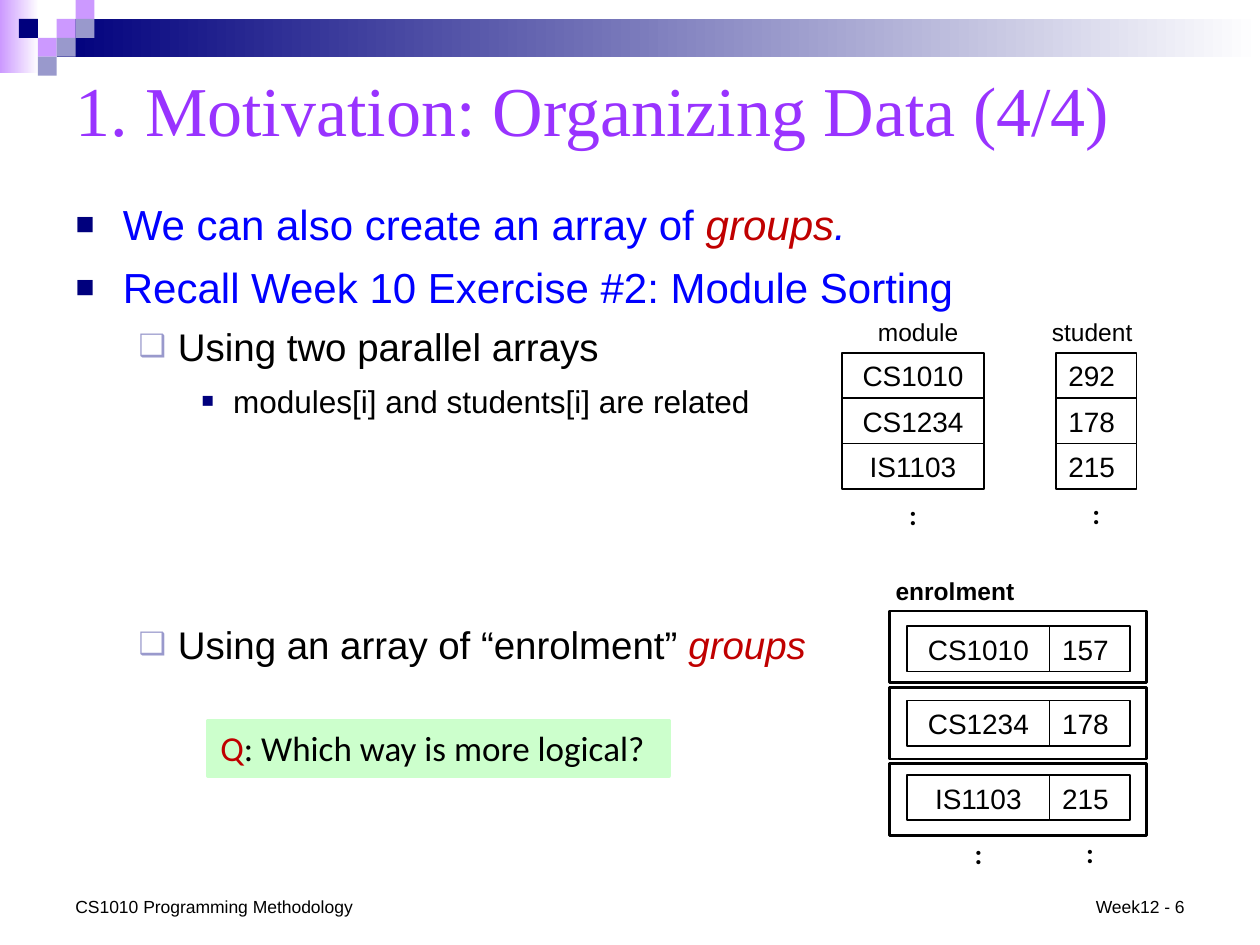
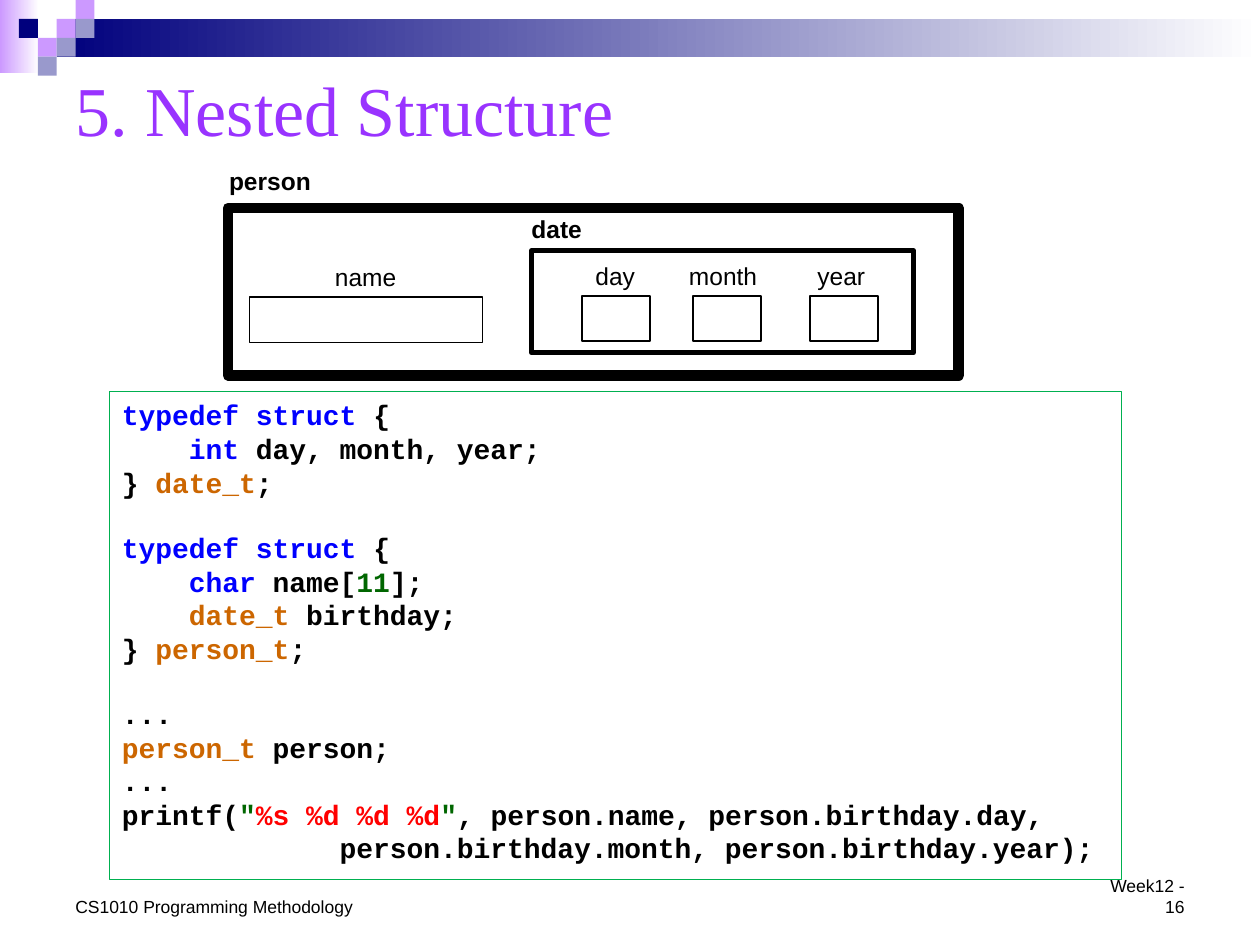
from dataclasses import dataclass
from lxml.etree import SubElement
from pptx import Presentation
from pptx.dml.color import RGBColor as RGB
from pptx.enum.shapes import MSO_SHAPE as SHAPE
from pptx.enum.text import MSO_ANCHOR as ANCHOR, MSO_AUTO_SIZE as FIT, PP_ALIGN as ALIGN
from pptx.oxml.ns import qn
from pptx.util import Pt

BLACK = RGB(0x00, 0x00, 0x00)
WHITE = RGB(0xFF, 0xFF, 0xFF)
NAVY = RGB(0x00, 0x00, 0x7D)
LILAC = RGB(0xCC, 0x99, 0xFF)
SLATE = RGB(0x99, 0x99, 0xCC)
PURPLE = RGB(0x99, 0x33, 0xFF)
BLUE = RGB(0x00, 0x00, 0xFF)
CRIMSON = RGB(0xC0, 0x00, 0x00)
MINT = RGB(0xCC, 0xFF, 0xCC)
GREEN = RGB(0x00, 0xB0, 0x50)
FOREST = RGB(0x00, 0x66, 0x00)
ORANGE = RGB(0xCC, 0x66, 0x00)
RED = RGB(0xFF, 0x00, 0x00)


@dataclass
class Box:
    x: float
    y: float
    w: float
    h: float

    def spread(self) -> tuple:
        return Pt(self.x), Pt(self.y), Pt(self.w), Pt(self.h)


@dataclass
class Seg:
    text: str
    ink: RGB = BLACK
    tilt: bool = False


@dataclass
class Mark:
    sign: str
    ink: RGB
    scale: int
    left: float
    hang: float


@dataclass
class Para:
    segs: list
    gap: float = 0
    size: float = 0
    mark: Mark | None = None
    level: int = 0


@dataclass
class Label:
    text: str
    box: Box
    bold: bool = False


MARKS = [Mark("■", NAVY, 75, 27, 27), Mark("❑", SLATE, 80, 58.5, 22.5),
         Mark("■", NAVY, 65, 90, 18)]
TILE = 10.8
TILES = [(3, 1, LILAC), (4, 0, LILAC), (4, 1, SLATE), (2, 2, LILAC),
         (1, 1, NAVY), (3, 2, SLATE), (2, 3, SLATE)]
CELL_H = 25.9
CODE_W = 81.4
COUNT_W = 46.1
CODES = ["CS1010", "CS1234", "IS1103"]

TOPICS = [
    Para([Seg("We can also create an array of ", BLUE), Seg("groups", CRIMSON, True),
          Seg(".", BLUE, True)], 0, 24, MARKS[0], 0),
    Para([Seg("Recall Week 10 Exercise #2: Module Sorting", BLUE)], 7.2, 24, MARKS[0], 0),
    Para([Seg("Using two parallel arrays")], 6, 22, MARKS[1], 1),
    Para([Seg("modules[i] and students[i] are related")], 7.2, 18, MARKS[2], 2),
    Para([Seg("Using an array of “enrolment” "), Seg("groups", CRIMSON, True)],
         115, 22, MARKS[1], 1),
]
BLANK = 18.1
CODE = [
    Para([Seg("typedef struct ", BLUE), Seg("{")]),
    Para([Seg("    "), Seg("int", BLUE), Seg(" day, month, year;")]),
    Para([Seg("} "), Seg("date_t", ORANGE), Seg(";")]),
    Para([Seg("typedef struct ", BLUE), Seg("{")], BLANK),
    Para([Seg("    "), Seg("char ", BLUE), Seg("name["), Seg("11", FOREST), Seg("];")]),
    Para([Seg("    "), Seg("date_t", ORANGE), Seg(" birthday;")]),
    Para([Seg("} "), Seg("person_t", ORANGE), Seg(";")]),
    Para([Seg("...")], BLANK),
    Para([Seg("person_t", ORANGE), Seg(" person;")]),
    Para([Seg("...")]),
    Para([Seg("printf("), Seg('"', FOREST), Seg("%s %d %d %d", RED), Seg('"', FOREST),
          Seg(", person.name, person.birthday.day,")]),
    Para([Seg("             person.birthday.month, person.birthday.year);")]),
]
PARTS = [
    Label("day", Box(333.2, 145.4, 38.2, 24.5)),
    Label("month", Box(386.6, 145.4, 55.6, 24.5)),
    Label("year", Box(460, 145.4, 43, 24.5)),
    Label("date", Box(296.6, 118.8, 54, 24.5), True),
    Label("name", Box(184.3, 146.2, 50, 24.5)),
    Label("person", Box(123.8, 91.4, 61.2, 24.5), True),
]


def add_mark(para, mark: Mark) -> None:
    props = para._p.get_or_add_pPr()
    props.set("marL", str(Pt(mark.left)))
    props.set("indent", str(-Pt(mark.hang)))
    tint = SubElement(props, qn("a:buClr"))
    SubElement(tint, qn("a:srgbClr"), val=str(mark.ink))
    SubElement(props, qn("a:buSzPct"), val=str(mark.scale * 1000))
    SubElement(props, qn("a:buFont"), typeface="Arial")
    SubElement(props, qn("a:buChar"), char=mark.sign)


def write(shape, text: str | list, *, face: str = "Arial", size: float = 16,
          ink: RGB = BLACK, bold: bool = False, align=ALIGN.LEFT,
          anchor=ANCHOR.TOP) -> None:
    frame = shape.text_frame
    frame.word_wrap = True
    frame.auto_size = FIT.NONE
    frame.vertical_anchor = anchor
    paras = [Para([Seg(text, ink)])] if isinstance(text, str) else text
    for at, item in enumerate(paras):
        para = frame.add_paragraph() if at else frame.paragraphs[0]
        if item.mark:
            add_mark(para, item.mark)
        para.level = item.level
        para.alignment = align
        para.space_before = Pt(item.gap)
        for seg in item.segs:
            run = para.add_run()
            run.text = seg.text
            font = run.font
            font.name, font.size = face, Pt(item.size or size)
            font.bold, font.italic = bold, seg.tilt
            font.color.rgb = seg.ink


def add_rect(slide, box: Box, fill: RGB | None = WHITE, line: RGB | None = BLACK,
             width: float = 1):
    rect = slide.shapes.add_shape(SHAPE.RECTANGLE, *box.spread())
    rect.shadow.inherit = False
    if fill is None:
        rect.fill.background()
    else:
        rect.fill.solid()
        rect.fill.fore_color.rgb = fill
    if line is None:
        rect.line.fill.background()
    else:
        rect.line.color.rgb = line
        rect.line.width = Pt(width)
    return rect


def add_text(slide, box: Box, text: str, **style) -> None:
    write(slide.shapes.add_textbox(*box.spread()), text, **style)


def add_label(slide, label: Label) -> None:
    add_text(slide, label.box, label.text, size=14, bold=label.bold)


def add_fade(slide, box: Box, ink: RGB) -> None:
    fill = add_rect(slide, box, line=None).fill
    fill.gradient()
    fill.gradient_angle = 0
    for stop, tint in zip(fill.gradient_stops, (ink, WHITE)):
        stop.color.rgb = tint


def place(holder, box: Box) -> None:
    holder.left, holder.top, holder.width, holder.height = box.spread()


def start(deck, layout: int, title: str, page: int):
    slide = deck.slides.add_slide(deck.slide_layouts[layout])
    add_fade(slide, Box(0, 0, 22.3, 41.8), LILAC)
    add_fade(slide, Box(32.4, 10.8, 687.6, 21.6), NAVY)
    for col, row, ink in TILES:
        add_rect(slide, Box(col * TILE, row * TILE, TILE, TILE), ink, None)
    head = slide.shapes.title
    place(head, Box(36, 30.2, 648, 63.4))
    write(head, title, face="Times New Roman", size=40, ink=PURPLE, anchor=ANCHOR.MIDDLE)
    add_text(slide, Box(36, 508.3, 174.2, 19.4), "CS1010 Programming Methodology",
             size=10, anchor=ANCHOR.BOTTOM)
    add_text(slide, Box(617.8, 508.3, 66.2, 19.4), f"Week12 - {page}",
             size=10, align=ALIGN.RIGHT, anchor=ANCHOR.BOTTOM)
    return slide


def add_pair(slide, left: float, right: float, top: float, code: str, count: str) -> None:
    write(add_rect(slide, Box(left, top, CODE_W, CELL_H)), code, align=ALIGN.CENTER)
    write(add_rect(slide, Box(right, top, COUNT_W, CELL_H)), count)


def add_dots(slide, left: float, right: float, top: float) -> None:
    for x, y, w in ((left, top, CODE_W), (right, top - 0.7, COUNT_W)):
        add_text(slide, Box(x, y, w, 26.6), ":", face="Calibri", bold=True,
                 align=ALIGN.CENTER)


def draw_data(deck) -> None:
    slide = start(deck, 1, "1. Motivation: Organizing Data (4/4)", 6)
    body = slide.placeholders[1]
    place(body, Box(36, 110, 648, 276.5))
    write(body, TOPICS)
    quiz = add_rect(slide, Box(118.8, 411.8, 263.5, 31.7), MINT, MINT, 2)
    write(quiz, [Para([Seg("Q", CRIMSON), Seg(": Which way is more logical?")])],
          face="Calibri", size=20)

    add_label(slide, Label("module", Box(494.6, 177.8, 60.5, 24.5)))
    add_label(slide, Label("student", Box(594, 177.8, 67.7, 24.5)))
    for row, (code, count) in enumerate(zip(CODES, ["292", "178", "215"])):
        add_pair(slide, 481, 603.4, 201.6 + row * CELL_H, code, count)
    add_dots(slide, 481, 603.4, 280.8)

    add_label(slide, Label("enrolment", Box(504.7, 325.4, 86.4, 24.5), True))
    for row, (code, count) in enumerate(zip(CODES, ["157", "178", "215"])):
        add_pair(slide, 518.4, 599.8, 357.8 + row * 42.5, code, count)
        add_rect(slide, Box(508.3, 349.2 + row * 43.6, 146.9, 41), None, width=1.5)
    add_dots(slide, 518.4, 599.8, 474.5)


def draw_nest(deck) -> None:
    slide = start(deck, 5, "5. Nested Structure", 16)
    add_rect(slide, Box(130.3, 118.8, 417.6, 95.8), None, width=6)
    add_rect(slide, Box(303.8, 143.3, 218.2, 58.3), None, width=3)
    add_rect(slide, Box(142.6, 169.9, 133.2, CELL_H))
    for x in (332.6, 396, 463):
        add_rect(slide, Box(x, 169.2, 38.9, CELL_H))
    for label in PARTS:
        add_label(slide, label)
    panel = add_rect(slide, Box(62.6, 223.9, 578.2, 278.6), WHITE, GREEN, 0.75)
    write(panel, CODE, face="Courier New", bold=True)


def main() -> None:
    """Build the two lecture slides and save them."""
    deck = Presentation()
    deck.slide_width, deck.slide_height = Pt(720), Pt(540)
    draw_data(deck)
    draw_nest(deck)
    deck.save("out.pptx")


if __name__ == "__main__":
    main()
